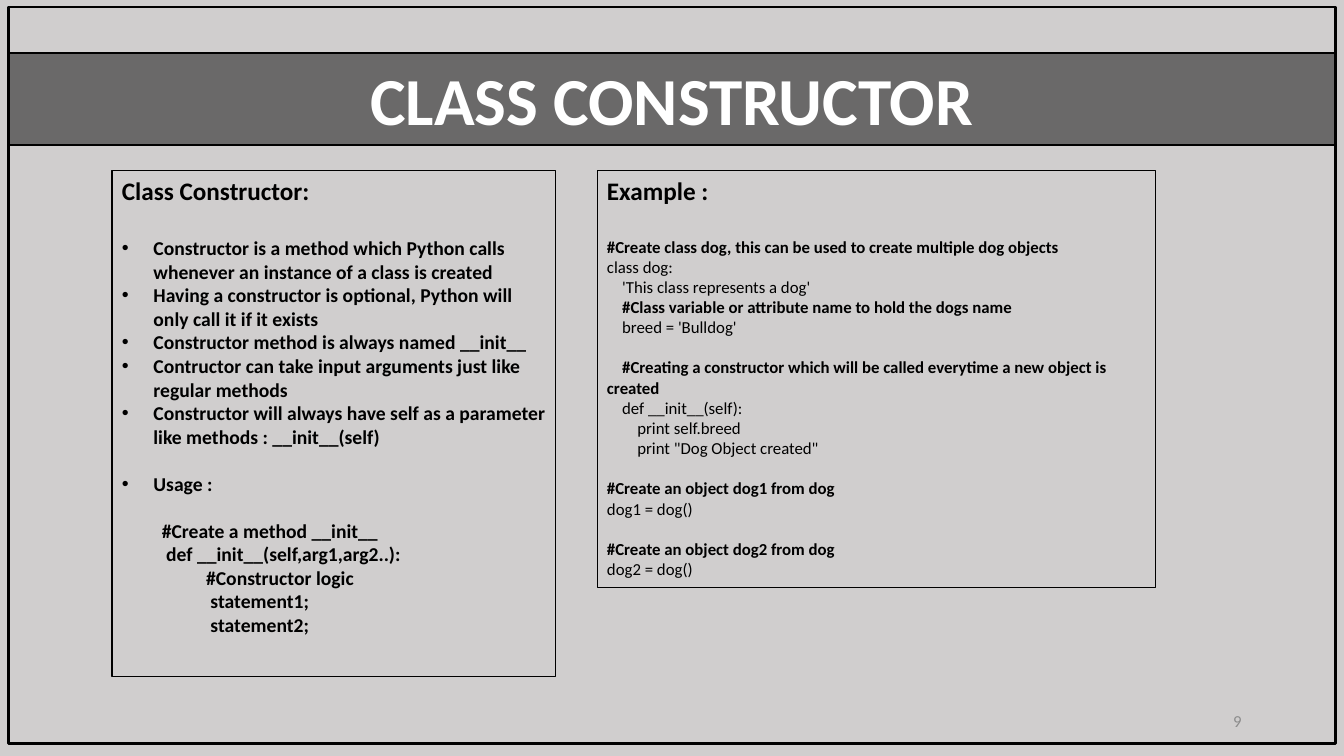
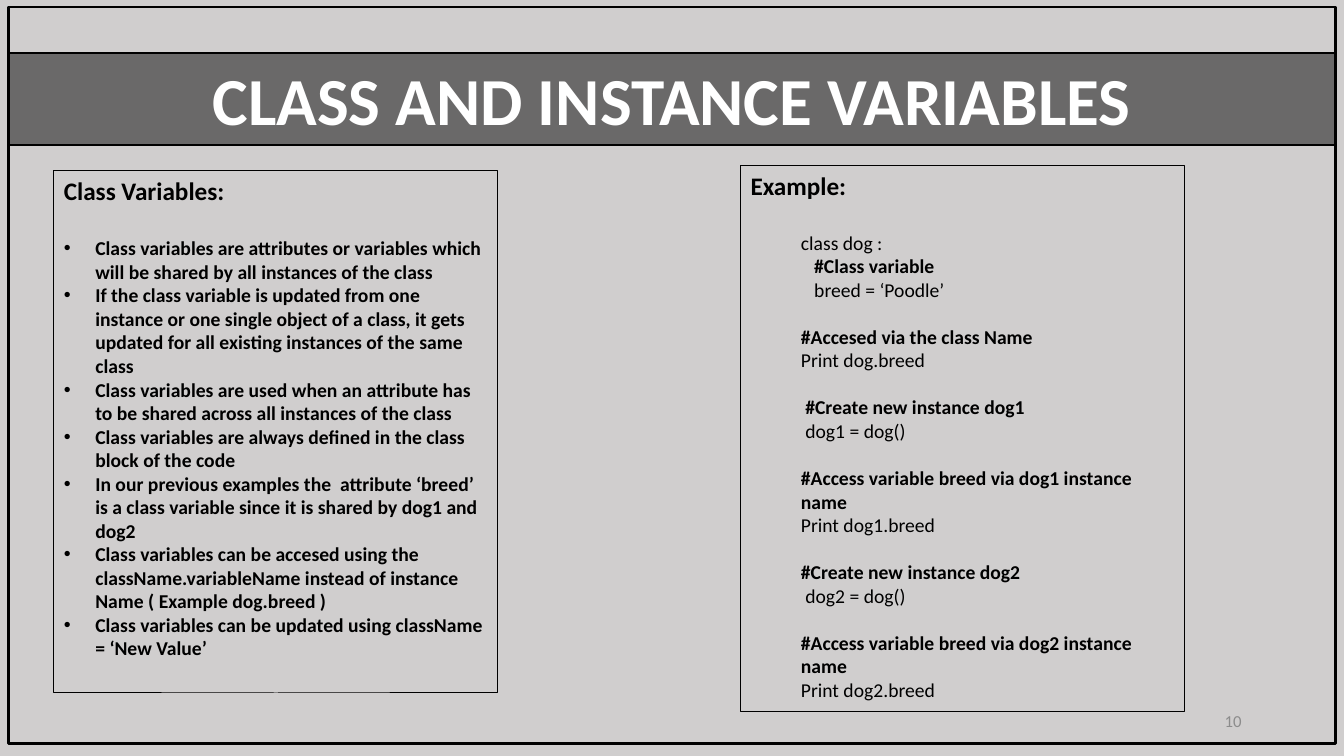
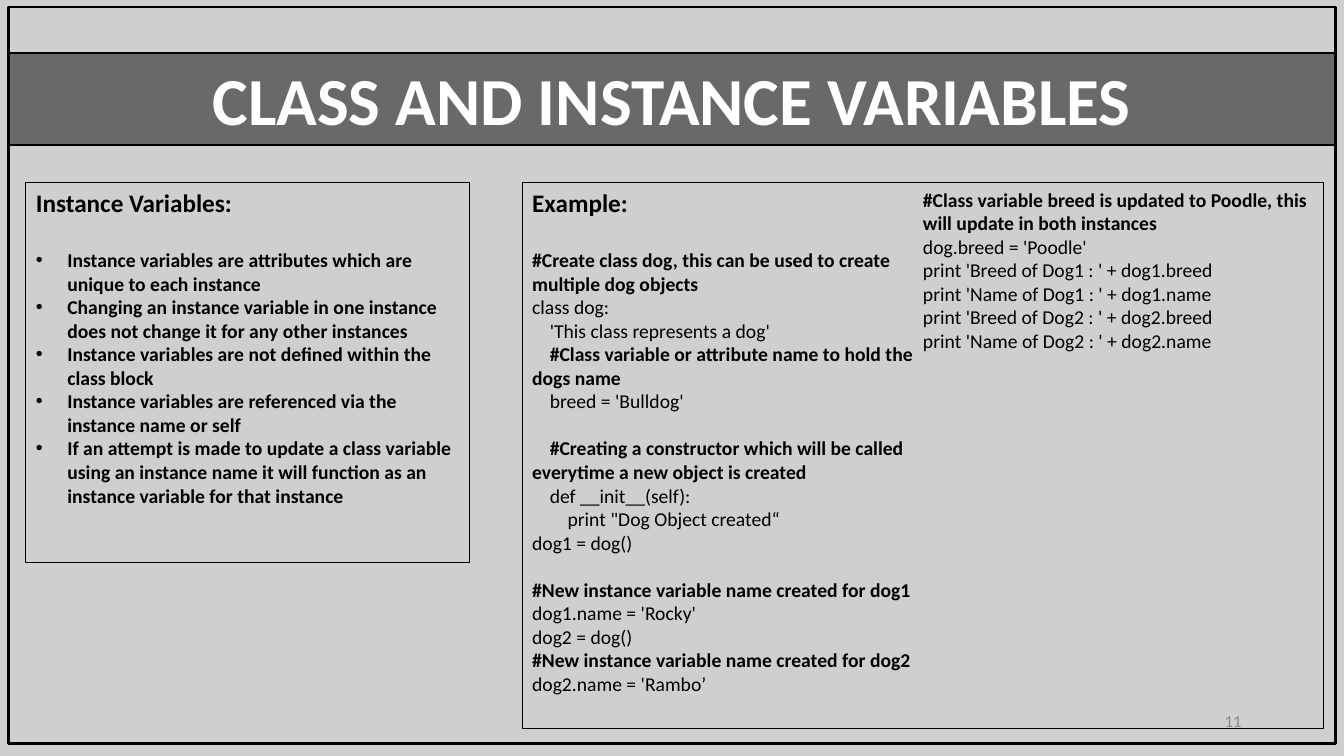
from dataclasses import dataclass

from lxml.etree import SubElement
from pptx import Presentation
from pptx.dml.color import RGBColor as Rgb
from pptx.enum.shapes import MSO_SHAPE as Preset
from pptx.enum.text import MSO_ANCHOR as Anchor, PP_ALIGN as Align
from pptx.oxml.ns import qn
from pptx.util import Pt


# Theme
@dataclass(frozen=True)
class Theme:
    font: str = "Calibri"
    paper: Rgb = Rgb(0xD0, 0xCE, 0xCE)
    ink: Rgb = Rgb(0, 0, 0)
    title_ink: Rgb = Rgb(0xFF, 0xFF, 0xFF)
    number_ink: Rgb = Rgb(0x8C, 0x8C, 0x8C)
    band_opacity: int = 49
    title: float = 48
    heading: float = 18
    body: float = 14
    small: float = 12
    frame_line: float = 1.75
    panel_line: float = 0.75
    line_height: float = 1.2
    space_width: float = 0.226
    bullet_indent: float = 22.5


THEME = Theme()


# Content model
@dataclass(frozen=True)
class Box:
    left: float
    top: float
    width: float
    height: float

    def lengths(self) -> tuple:
        return Pt(self.left), Pt(self.top), Pt(self.width), Pt(self.height)


@dataclass(frozen=True)
class Line:
    text: str
    bold: bool = True
    bullet: bool = False
    indent: int = 0
    gap: bool = False


@dataclass(frozen=True)
class Panel:
    box: Box
    heading: str
    lines: list
    size: float = THEME.body
    margin: float = 0
    columns: int = 1


@dataclass(frozen=True)
class Page:
    number: int
    title: str
    panels: list


FRAME = Box(6, 5, 948, 526)
BAND = Box(6, 38, 948, 65.5)
NUMBER = Box(678, 500.5, 216, 28.8)


def bullets(*texts: str) -> list:
    return [Line(text, bullet=True) for text in texts]


def code(listing: str, all_bold: bool = False) -> list:
    """Comments are bold; an empty row becomes a gap, leading spaces an indent."""
    lines, gap = [], False
    for row in listing.strip("\n").split("\n"):
        text = row.lstrip()
        if text:
            bold = all_bold or text.startswith("#")
            lines.append(Line(text, bold, indent=len(row) - len(text), gap=gap))
        gap = not text
    return lines


# Drawing
def add_rect(slide, box: Box, line_width: float):
    rect = slide.shapes.add_shape(Preset.RECTANGLE, *box.lengths())
    rect.shadow.inherit = False
    rect.fill.background()
    rect.line.color.rgb = THEME.ink
    rect.line.width = Pt(line_width)
    rect.text_frame.word_wrap = True
    return rect


def style(paragraph, size: float, color: Rgb, bold: bool, align=Align.LEFT) -> None:
    paragraph.alignment = align
    for run in paragraph.runs:
        run.font.name = THEME.font
        run.font.size = Pt(size)
        run.font.bold = bold
        run.font.color.rgb = color


def set_indent(paragraph, margin: float, first: float, bullet: bool) -> None:
    properties = paragraph._p.get_or_add_pPr()
    properties.set("marL", str(Pt(margin)))
    properties.set("indent", str(Pt(first)))
    if bullet:
        SubElement(properties, qn("a:buFont")).set("typeface", "Arial")
        SubElement(properties, qn("a:buChar")).set("char", "•")


def add_band(slide, title: str) -> None:
    band = add_rect(slide, BAND, THEME.frame_line)
    band.fill.solid()
    band.fill.fore_color.rgb = THEME.ink
    tint = band._element.spPr.find(qn("a:solidFill")).find(qn("a:srgbClr"))
    SubElement(tint, qn("a:alpha")).set("val", str(THEME.band_opacity * 1000))
    band.text_frame.vertical_anchor = Anchor.MIDDLE
    band.text_frame.text = title
    style(band.text_frame.paragraphs[0], THEME.title, THEME.title_ink, True, Align.CENTER)


def add_number(slide, number: int) -> None:
    frame = slide.shapes.add_textbox(*NUMBER.lengths()).text_frame
    frame.word_wrap = True
    frame.vertical_anchor = Anchor.MIDDLE
    frame.text = str(number)
    style(frame.paragraphs[0], THEME.small, THEME.number_ink, False, Align.RIGHT)


def add_panel(slide, panel: Panel) -> None:
    frame = add_rect(slide, panel.box, THEME.panel_line).text_frame
    frame.vertical_anchor = Anchor.TOP
    if panel.columns > 1:
        frame._txBody.bodyPr.set("numCol", str(panel.columns))
    frame.text = "\n".join([panel.heading, *(line.text for line in panel.lines)])
    heading, *body = frame.paragraphs
    style(heading, THEME.heading, THEME.ink, True)
    heading.space_after = Pt(THEME.heading * THEME.line_height)
    for paragraph, line in zip(body, panel.lines):
        style(paragraph, panel.size, THEME.ink, line.bold)
        if line.gap:
            paragraph.space_before = Pt(panel.size * THEME.line_height)
        if line.bullet:
            set_indent(paragraph, THEME.bullet_indent, -THEME.bullet_indent, True)
        else:
            first = line.indent * THEME.space_width * panel.size
            set_indent(paragraph, panel.margin, first, False)


def add_page(deck, page: Page) -> None:
    slide = deck.slides.add_slide(deck.slide_layouts[6])
    add_rect(slide, FRAME, THEME.frame_line)
    add_band(slide, page.title)
    add_number(slide, page.number)
    for panel in page.panels:
        add_panel(slide, panel)


# Constructor page
CONSTRUCTOR_NOTES = [
    *bullets(
        "Constructor is a method which Python calls whenever an instance of a class is created",
        "Having a constructor is optional, Python will only call it if it exists",
        "Constructor method is always named __init__",
        "Contructor can take input arguments just like regular methods",
        "Constructor will always have self as a parameter like methods : __init__(self)",
    ),
    Line("Usage :", bullet=True, gap=True),
    *code("""

         #Create a method __init__
          def __init__(self,arg1,arg2..):
                   #Constructor logic
                    statement1;
                    statement2;
""".replace("\n\n", "\n", 1), all_bold=True),
]
USAGE_START = 6
CONSTRUCTOR_NOTES[USAGE_START] = Line("#Create a method __init__", indent=9, gap=True)

CONSTRUCTOR_CODE = code("""
#Create class dog, this can be used to create multiple dog objects
class dog:
    'This class represents a dog'
    #Class variable or attribute name to hold the dogs name
    breed = 'Bulldog'

    #Creating a constructor which will be called everytime a new object is created
    def __init__(self):
        print self.breed
        print "Dog Object created"

#Create an object dog1 from dog
dog1 = dog()

#Create an object dog2 from dog
dog2 = dog()
""")

# Class variables page
CLASS_NOTES = bullets(
    "Class variables are attributes or variables which will be shared by all instances of the class",
    "If the class variable is updated from one instance or one single object of a class, "
    "it gets updated for all existing instances of the same class",
    "Class variables are used when an attribute has to be shared across all instances of the class",
    "Class variables are always defined in the class block of the code",
    "In our previous examples the  attribute ‘breed’ is a class variable "
    "since it is shared by dog1 and dog2",
    "Class variables can be accesed using the className.variableName "
    "instead of instance Name ( Example dog.breed )",
    "Class variables can be updated using className = ‘New Value’",
)
CLASS_CODE = code("""
class dog :
   #Class variable
   breed = ‘Poodle’

#Accesed via the class Name
Print dog.breed

 #Create new instance dog1
 dog1 = dog()

#Access variable breed via dog1 instance name
Print dog1.breed

#Create new instance dog2
 dog2 = dog()

#Access variable breed via dog2 instance name
Print dog2.breed
""")

# Instance variables page
INSTANCE_NOTES = bullets(
    "Instance variables are attributes which are unique to each instance",
    "Changing an instance variable in one instance does not change it for any other instances",
    "Instance variables are not defined within the class block",
    "Instance variables are referenced via the instance name or self",
    "If an attempt is made to update a class variable using an instance name "
    "it will function as an instance variable for that instance",
)
INSTANCE_CODE = code("""
#Create class dog, this can be used to create multiple dog objects
class dog:
    'This class represents a dog'
    #Class variable or attribute name to hold the dogs name
    breed = 'Bulldog'

    #Creating a constructor which will be called everytime a new object is created
    def __init__(self):
        print "Dog Object created“
dog1 = dog()

#New instance variable name created for dog1
dog1.name = 'Rocky'
dog2 = dog()
#New instance variable name created for dog2
dog2.name = 'Rambo’

#Class variable breed is updated to Poodle, this will update in both instances
dog.breed = 'Poodle'
print 'Breed of Dog1 : ' + dog1.breed
print 'Name of Dog1 : ' + dog1.name
print 'Breed of Dog2 : ' + dog2.breed
print 'Name of Dog2 : ' + dog2.name
""")

PAGES = [
    Page(9, "CLASS CONSTRUCTOR", [
        Panel(Box(80, 122, 317, 361), "Class Constructor:", CONSTRUCTOR_NOTES),
        Panel(Box(426.5, 122, 399, 298), "Example :", CONSTRUCTOR_CODE, THEME.small),
    ]),
    Page(10, "CLASS AND INSTANCE VARIABLES", [
        Panel(Box(38.5, 122, 317, 373), "Class Variables:", CLASS_NOTES),
        Panel(Box(529, 118, 317, 390), "Example:", CLASS_CODE, margin=36),
    ]),
    Page(11, "CLASS AND INSTANCE VARIABLES", [
        Panel(Box(18.5, 130.5, 317, 271), "Instance Variables:", INSTANCE_NOTES),
        Panel(Box(373, 130.5, 572.5, 390), "Example:", INSTANCE_CODE, columns=2),
    ]),
]


def main() -> None:
    deck = Presentation()
    deck.slide_width, deck.slide_height = Pt(960), Pt(540)
    paper = deck.slide_master.background.fill
    paper.solid()
    paper.fore_color.rgb = THEME.paper
    for page in PAGES:
        add_page(deck, page)
    deck.save("out.pptx")


if __name__ == "__main__":
    main()
